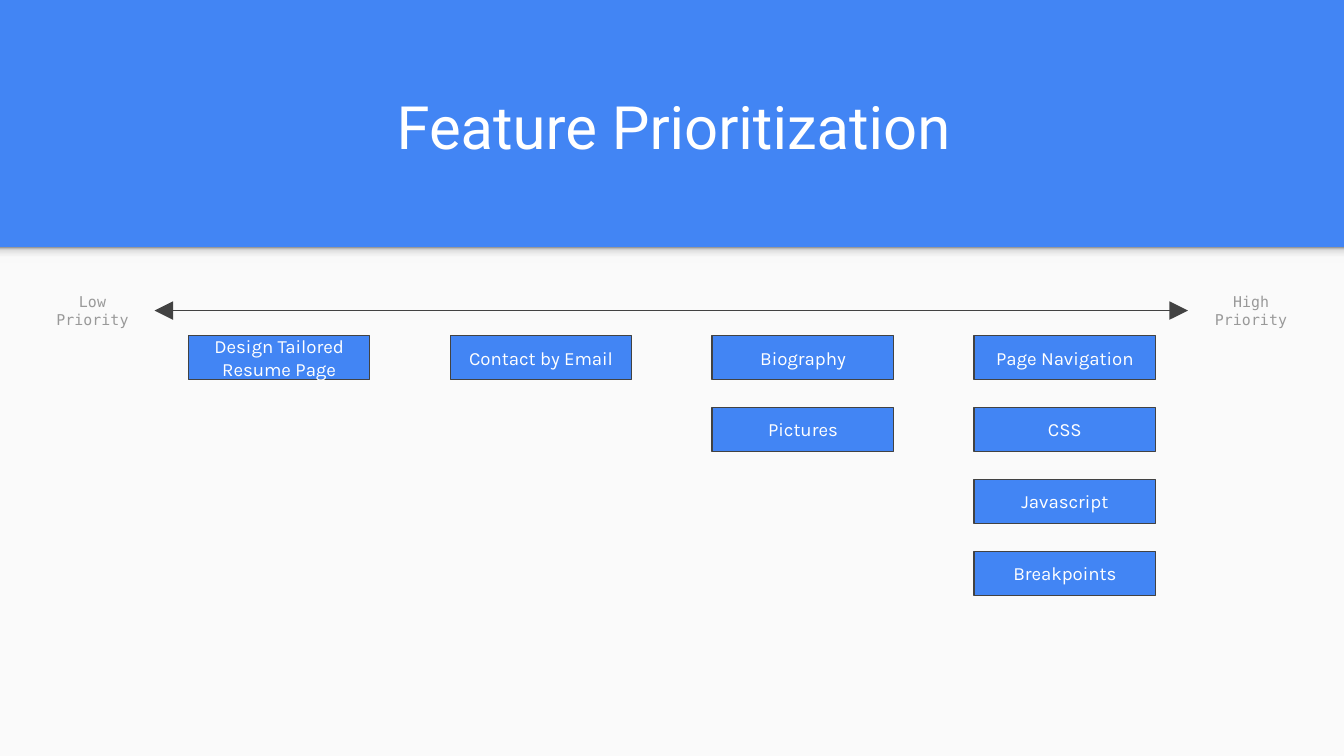
from lxml import etree
from pptx import Presentation
from pptx.dml.color import RGBColor
from pptx.enum.shapes import MSO_CONNECTOR, MSO_SHAPE
from pptx.enum.text import MSO_ANCHOR, PP_ALIGN
from pptx.oxml.ns import qn
from pptx.util import Cm, Pt

BLUE = RGBColor(0x42, 0x85, 0xF4)
PAPER = RGBColor(0xFA, 0xFA, 0xFA)
DARK = RGBColor(0x42, 0x42, 0x42)
GRAY = RGBColor(0x99, 0x99, 0x99)
WHITE = RGBColor(0xFF, 0xFF, 0xFF)
MIST = RGBColor(0xF9, 0xF9, 0xF9)
SILVER = RGBColor(0xDE, 0xDE, 0xDE)

RECTANGLE = MSO_SHAPE.RECTANGLE
STRAIGHT = MSO_CONNECTOR.STRAIGHT
CENTER = PP_ALIGN.CENTER
MIDDLE, BOTTOM = MSO_ANCHOR.MIDDLE, MSO_ANCHOR.BOTTOM
LEFT_SIDE, RIGHT_SIDE = 1, 3
TITLE_ONLY = 5

SLIDE_WIDTH, SLIDE_HEIGHT = 25.4, 14.29
BANNER_HEIGHT = 4.67
LABEL_TOP, LABEL_HEIGHT = 5.41, 0.92
GRID_LEFT, GRID_TOP = 3.56, 6.34
COLUMN_STEP, ROW_STEP = 4.95, 1.36
CARD_WIDTH, CARD_HEIGHT = 3.43, 0.84

# Features by column, from low to high priority
FEATURES = [
    ["Design Tailored Resume Page"],
    ["Contact by Email"],
    ["Biography", "Pictures"],
    ["Page Navigation", "CSS", "Javascript", "Breakpoints"],
]


class PrioritySlide:
    title_font, card_font, label_font = "Roboto", "Karla", "DejaVu Sans Mono"
    line_width = Pt(0.75)
    inset = Cm(0.25)

    def __init__(self, page):
        self.page = page
        page.background.fill.solid()
        page.background.fill.fore_color.rgb = BLUE

    def set_text(self, shape, text, font, size, color, anchor=MIDDLE):
        frame = shape.text_frame
        frame.text = text
        frame.word_wrap = True
        frame.vertical_anchor = anchor
        frame.margin_left = frame.margin_right = self.inset
        frame.margin_top = frame.margin_bottom = self.inset
        para = frame.paragraphs[0]
        para.alignment = CENTER
        para.font.name = font
        para.font.size = Pt(size)
        para.font.color.rgb = color

    def title(self, text, left, top, width, height):
        title = self.page.shapes.title
        title.left, title.top = Cm(left), Cm(top)
        title.width, title.height = Cm(width), Cm(height)
        self.set_text(title, text, self.title_font, 32, WHITE, BOTTOM)

    def rectangle(self, left, top, width, height, color):
        box = self.page.shapes.add_shape(
            RECTANGLE, Cm(left), Cm(top), Cm(width), Cm(height))
        box.shadow.inherit = False
        box.fill.solid()
        box.fill.fore_color.rgb = color
        box.line.fill.background()
        return box

    def gradient(self, left, top, width, height, stops):
        box = self.rectangle(left, top, width, height, MIST)
        box.fill.gradient()
        box.fill.gradient_angle = 90
        stop_list = next(box.element.iter(qn("a:gsLst")))
        for old_stop in list(stop_list):
            stop_list.remove(old_stop)
        for percent, color in stops:
            stop = etree.SubElement(stop_list, qn("a:gs"), pos=str(percent * 1000))
            etree.SubElement(stop, qn("a:srgbClr"), val=str(color))

    def card(self, text, left, top):
        card = self.rectangle(left, top, CARD_WIDTH, CARD_HEIGHT, BLUE)
        card.line.color.rgb = DARK
        card.line.width = self.line_width
        self.set_text(card, text, self.card_font, 10, WHITE)

    def label(self, text, left, width):
        label = self.page.shapes.add_textbox(
            Cm(left), Cm(LABEL_TOP), Cm(width), Cm(LABEL_HEIGHT))
        self.set_text(label, text, self.label_font, 8, GRAY)
        return label

    def double_arrow(self, start, end):
        arrow = self.page.shapes.add_connector(STRAIGHT, 0, 0, 0, 0)
        arrow.begin_connect(start, RIGHT_SIDE)
        arrow.end_connect(end, LEFT_SIDE)
        arrow.line.color.rgb = DARK
        arrow.line.width = self.line_width
        line = arrow.element.spPr.find(qn("a:ln"))
        for tip in ("a:headEnd", "a:tailEnd"):
            etree.SubElement(line, qn(tip), type="triangle", w="lg", len="lg")
        etree.SubElement(arrow.element.spPr, qn("a:effectLst"))


def main():
    deck = Presentation()
    deck.slide_width, deck.slide_height = Cm(SLIDE_WIDTH), Cm(SLIDE_HEIGHT)
    slide = PrioritySlide(deck.slides.add_slide(deck.slide_layouts[TITLE_ONLY]))

    # Banner title, and the paper below it with the banner's soft shade
    slide.title("Feature Prioritization", 1.32, 1.17, 22.83, 2.13)
    slide.rectangle(0, BANNER_HEIGHT, SLIDE_WIDTH, SLIDE_HEIGHT - BANNER_HEIGHT, PAPER)
    slide.gradient(0, BANNER_HEIGHT, SLIDE_WIDTH, 0.3,
                   [(0, MIST), (36, MIST), (80, SILVER), (100, GRAY)])

    # Priority scale
    low = slide.label("Low Priority", 0.58, 2.34)
    high = slide.label("High Priority", 22.45, 2.39)
    slide.double_arrow(low, high)

    # Feature cards
    for column, features in enumerate(FEATURES):
        for row, feature in enumerate(features):
            slide.card(feature, GRID_LEFT + column * COLUMN_STEP,
                       GRID_TOP + row * ROW_STEP)

    deck.save("out.pptx")


if __name__ == "__main__":
    main()
